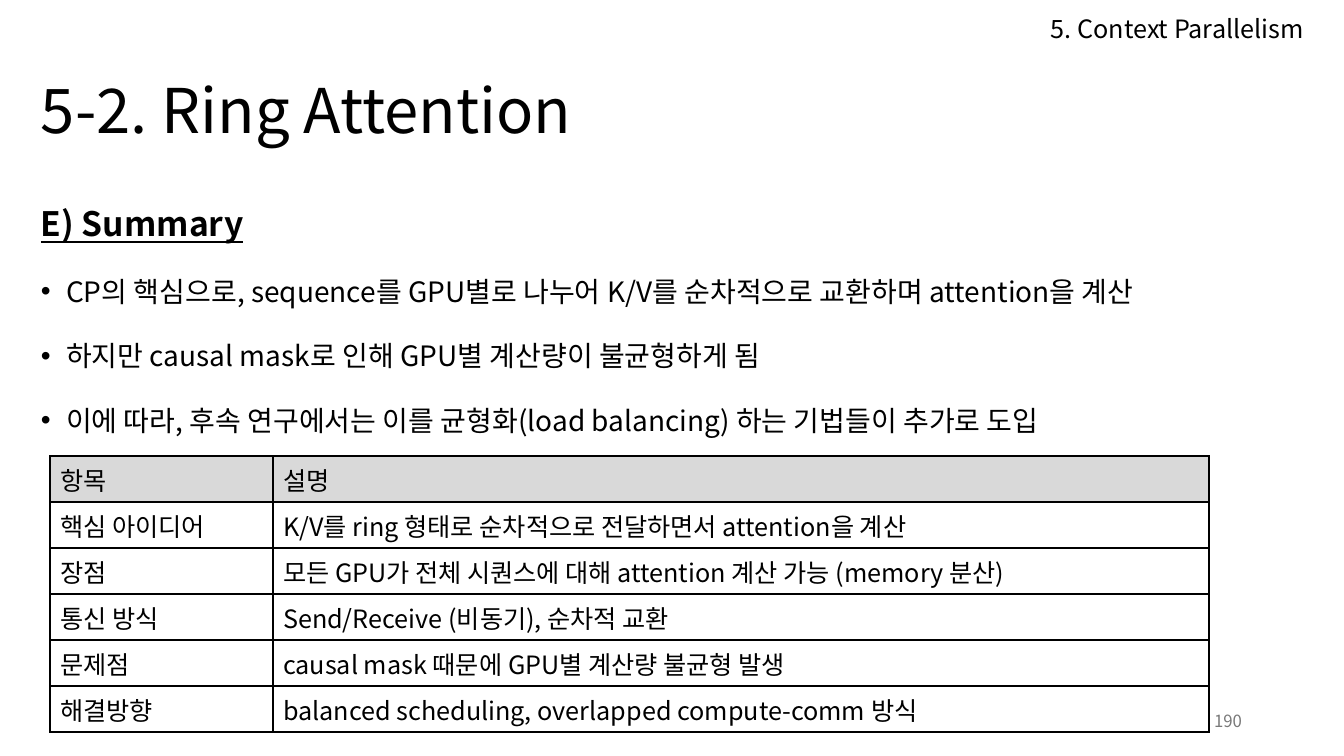
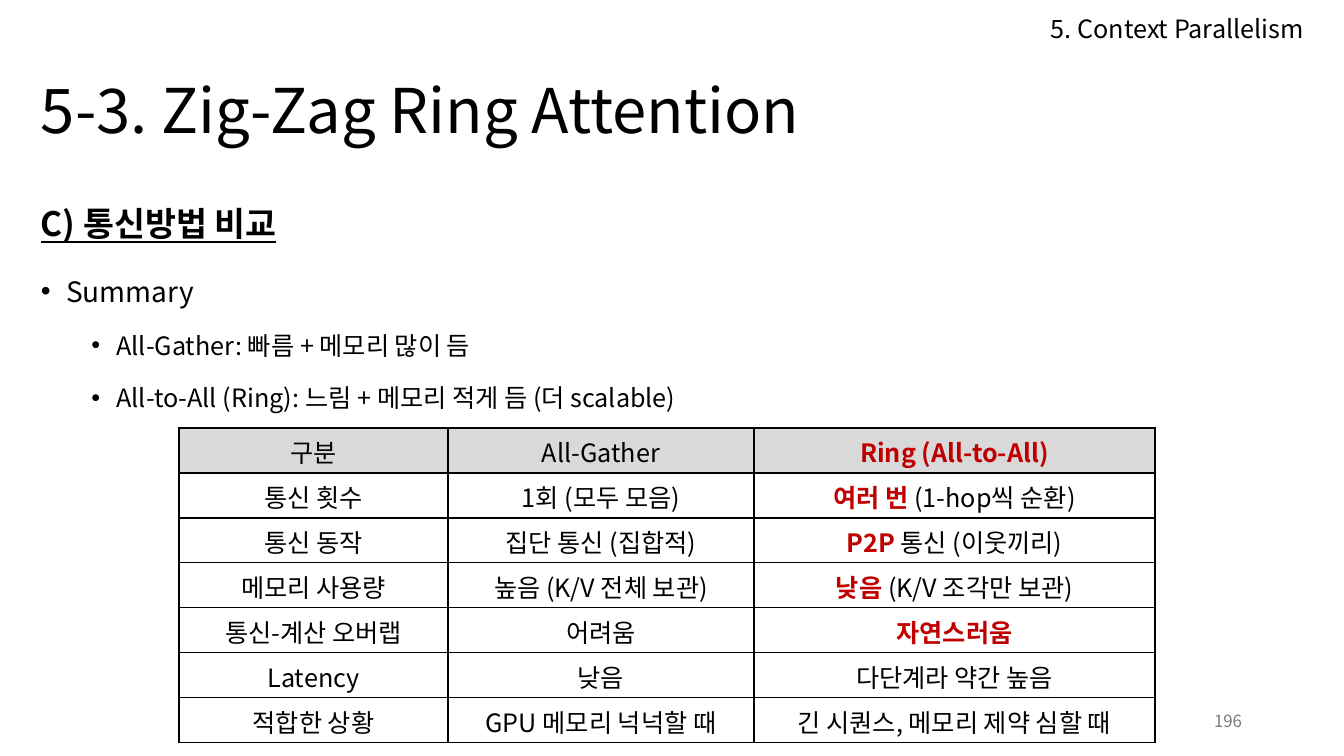
"""Build two summary slides on ring attention, each with bullets and a table."""
from lxml import etree
from pptx import Presentation
from pptx import util as u
from pptx.dml.color import RGBColor
from pptx.enum import text
from pptx.oxml.ns import qn

PX = 12192000 / 1344
FONT = "Noto Sans CJK KR"
COLORS = {"ink": "000000", "accent": "C00000", "header": "D9D9D9", "page": "797979"}
SECTION = "5. Context Parallelism"
LEFT, MIDDLE, RIGHT = text.PP_ALIGN.LEFT, text.PP_ALIGN.CENTER, text.PP_ALIGN.RIGHT
LEVELS = [
    {"size": 24, "indent": None, "before": 0},
    {"size": 20, "indent": 0.25, "before": 10},
    {"size": 18, "indent": 0.75, "before": 5},
]

SLIDES = [
    {
        "title": "5-2. Ring Attention",
        "page": "190",
        "body": [
            (0, "E) Summary"),
            (1, "CP의 핵심으로, sequence를 GPU별로 나누어 K/V를 순차적으로 교환하며 attention을 계산"),
            (1, "하지만 causal mask로 인해 GPU별 계산량이 불균형하게 됨"),
            (1, "이에 따라, 후속 연구에서는 이를 균형화(load balancing) 하는 기법들이 추가로 도입"),
        ],
        "at": (50, 456),
        "columns": [223, 936],
        "row": 46,
        "align": LEFT,
        "rows": [
            ("항목", "설명"),
            ("핵심 아이디어", "K/V를 ring 형태로 순차적으로 전달하면서 attention을 계산"),
            ("장점", "모든 GPU가 전체 시퀀스에 대해 attention 계산 가능 (memory 분산)"),
            ("통신 방식", "Send/Receive (비동기), 순차적 교환"),
            ("문제점", "causal mask 때문에 GPU별 계산량 불균형 발생"),
            ("해결방향", "balanced scheduling, overlapped compute-comm 방식"),
        ],
    },
    {
        "title": "5-3. Zig-Zag Ring Attention",
        "page": "196",
        "body": [
            (0, "C) 통신방법 비교"),
            (1, "Summary"),
            (2, "All-Gather: 빠름 + 메모리 많이 듬"),
            (2, "All-to-All (Ring): 느림 + 메모리 적게 듬 (더 scalable)"),
        ],
        "at": (179, 428),
        "columns": [269, 306, 401],
        "row": 45,
        "align": MIDDLE,
        "rows": [
            ("구분", "All-Gather", ("Ring (All-to-All)", "")),
            ("통신 횟수", "1회 (모두 모음)", ("여러 번 ", "(1-hop씩 순환)")),
            ("통신 동작", "집단 통신 (집합적)", ("P2P ", "통신 (이웃끼리)")),
            ("메모리 사용량", "높음 (K/V 전체 보관)", ("낮음 ", "(K/V 조각만 보관)")),
            ("통신-계산 오버랩", "어려움", ("자연스러움", "")),
            ("Latency", "낮음", "다단계라 약간 높음"),
            ("적합한 상황", "GPU 메모리 넉넉할 때", "긴 시퀀스, 메모리 제약 심할 때"),
        ],
    },
]


def style(paragraph, size, color="ink", align=LEFT, spacing=None):
    """Set the font, alignment and line spacing of a paragraph."""
    paragraph.alignment = align
    if spacing:
        paragraph.line_spacing = spacing
    font = paragraph.font
    font.name, font.size = FONT, u.Pt(size)
    font.color.rgb = RGBColor.from_string(COLORS[color])
    latin = font._element.find(qn("a:latin"))
    latin.addnext(latin.makeelement(qn("a:ea"), {"typeface": FONT}))
    return font


def add_box(slide, left, top, width, height, anchor=text.MSO_ANCHOR.TOP):
    """Add a wrapping text box and return its text frame."""
    box = slide.shapes.add_textbox(*(round(n * PX) for n in (left, top, width, height)))
    frame = box.text_frame
    frame.word_wrap, frame.vertical_anchor = True, anchor
    return frame


prs = Presentation()
prs.slide_width, prs.slide_height = round(1344 * PX), round(756 * PX)

for content in SLIDES:
    slide = prs.slides.add_slide(prs.slide_layouts[6])

    title = add_box(slide, 31, 69, 1284, 90, text.MSO_ANCHOR.MIDDLE).paragraphs[0]
    title.text = content["title"]
    style(title, 44, spacing=0.9)

    section = add_box(slide, 1041, 8, 280, 40).paragraphs[0]
    section.text = SECTION
    style(section, 18)

    body = add_box(slide, 31, 178, 1284, 270)
    for number, (depth, line) in enumerate(content["body"]):
        level = LEVELS[depth]
        item = body.add_paragraph() if number else body.paragraphs[0]
        item.text = line
        if level["indent"]:
            item.space_before = u.Pt(level["before"])
            item.level = depth - 1
            props = item._p.get_or_add_pPr()
            props.set("marL", str(u.Inches(level["indent"])))
            props.set("indent", str(u.Inches(-0.25)))
            etree.SubElement(props, qn("a:buFont"), typeface="Arial")
            etree.SubElement(props, qn("a:buChar"), char="•")
        font = style(item, level["size"], spacing=1.5)
        font.bold = font.underline = depth == 0

    rows, columns, row_height = content["rows"], content["columns"], content["row"]
    left, top = content["at"]
    frame = slide.shapes.add_table(
        len(rows), len(columns), round(left * PX), round(top * PX),
        round(sum(columns) * PX), round(len(rows) * row_height * PX))
    table = frame.table
    table.horz_banding = False
    for column, width in zip(table.columns, columns):
        column.width = round(width * PX)
    for r, values in enumerate(rows):
        table.rows[r].height = round(row_height * PX)
        for c, value in enumerate(values):
            cell = table.cell(r, c)
            cell.vertical_anchor = text.MSO_ANCHOR.MIDDLE
            if r == 0:
                cell.fill.solid()
                cell.fill.fore_color.rgb = RGBColor.from_string(COLORS["header"])
            else:
                cell.fill.background()
            borders = cell._tc.get_or_add_tcPr()
            for order, side in enumerate(("lnL", "lnR", "lnT", "lnB")):
                border = borders.makeelement(qn(f"a:{side}"), {"w": str(u.Pt(1))})
                paint = etree.SubElement(border, qn("a:solidFill"))
                etree.SubElement(paint, qn("a:srgbClr"), val=COLORS["ink"])
                borders.insert(order, border)

            entry = cell.text_frame.paragraphs[0]
            emphasis, plain = value if isinstance(value, tuple) else ("", value)
            font = style(entry, 18, "ink" if plain else "accent", content["align"])
            font.bold = not plain
            for words, color in ((emphasis, "accent"), (plain, "ink")):
                if words:
                    run = entry.add_run()
                    run.text = words
                    if emphasis and plain:
                        run.font.bold = color == "accent"
                        run.font.color.rgb = RGBColor.from_string(COLORS[color])

    page = add_box(slide, 950, 701, 302, 40, text.MSO_ANCHOR.MIDDLE).paragraphs[0]
    page.text = content["page"]
    style(page, 12, "page", RIGHT)

prs.save("out.pptx")
